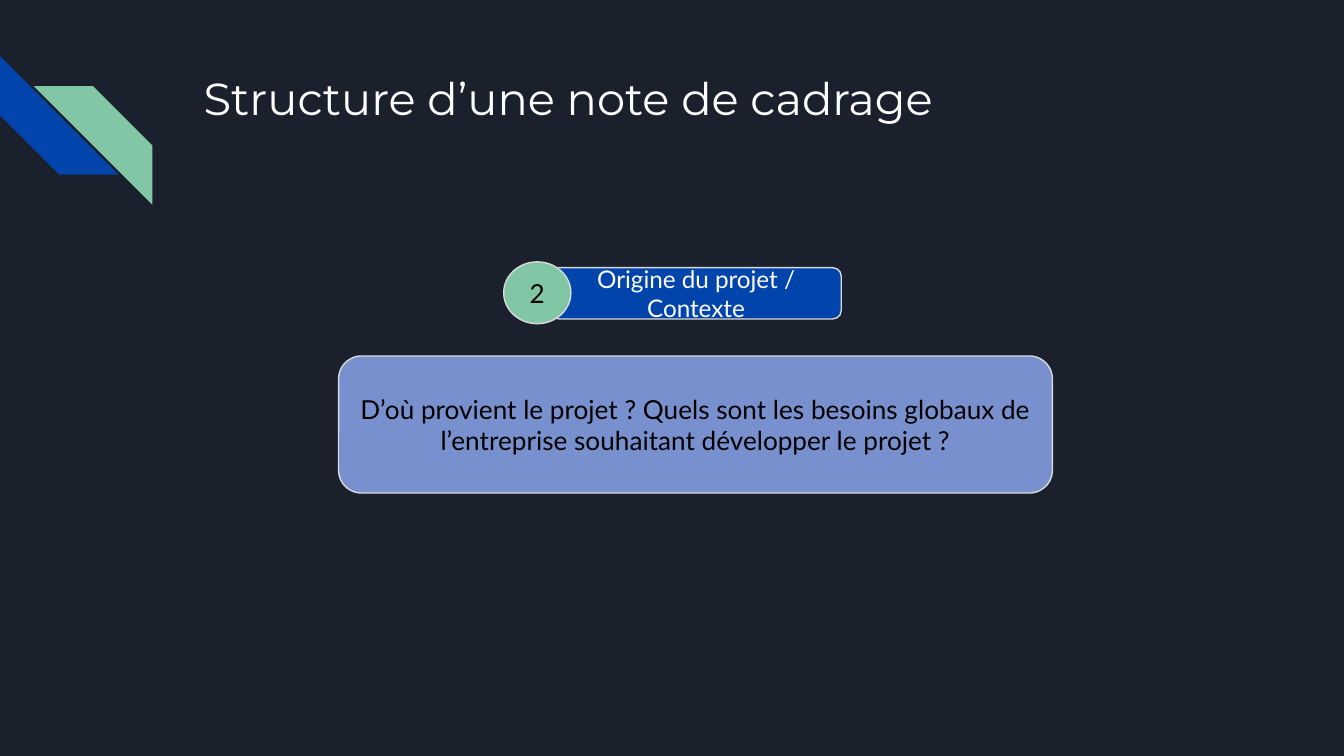
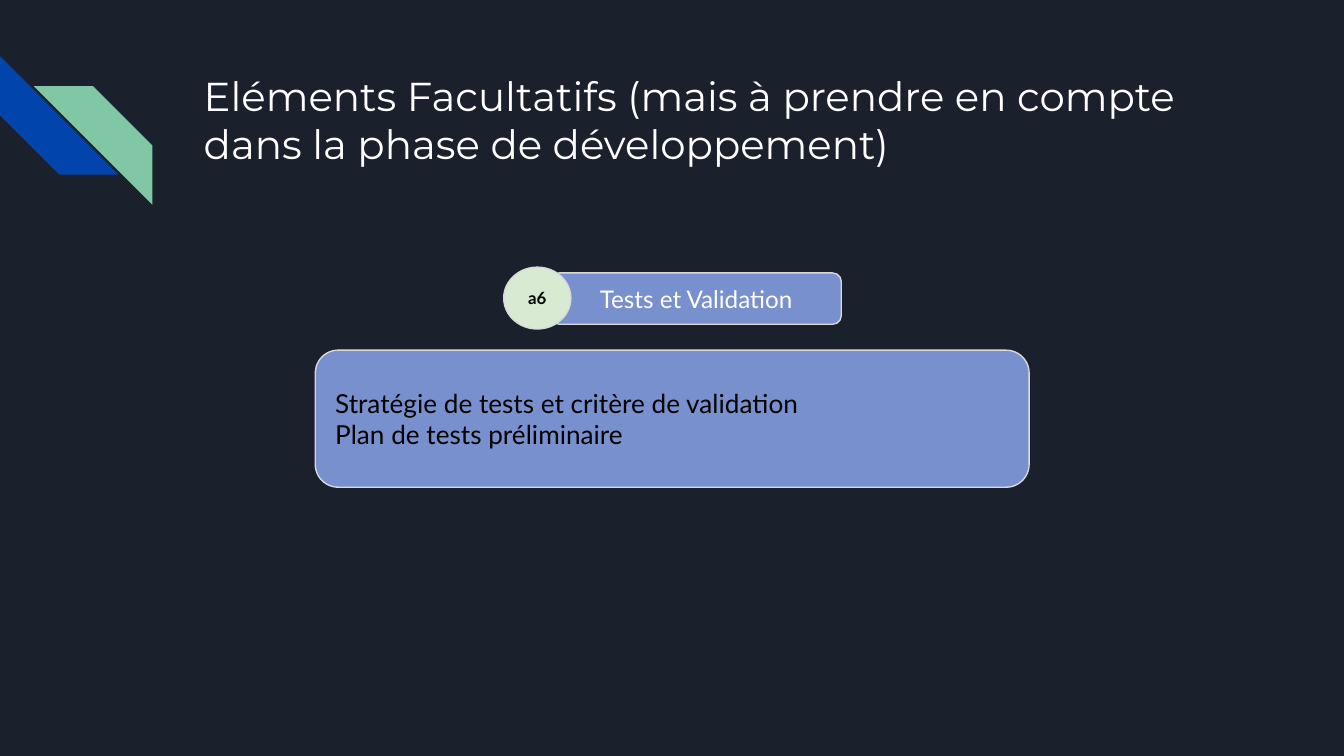
from pptx import Presentation
from pptx.dml.color import RGBColor
from pptx.enum import shapes, text
from pptx.util import Cm, Pt

NIGHT, BLUE, GREEN = "1B212C", "0145AC", "82C7A5"
PERIWINKLE, MINT, GREY = "7890CD", "D9EAD3", "D9D9D9"
WHITE, BLACK = "FFFFFF", "000000"
TITLE_FONT, BODY_FONT = "Montserrat", "Lato"
TITLE_ONLY = 5
LEFT, CENTER = text.PP_ALIGN.LEFT, text.PP_ALIGN.CENTER
TOP, MIDDLE = text.MSO_ANCHOR.TOP, text.MSO_ANCHOR.MIDDLE
KINDS = shapes.MSO_SHAPE


def rgb(value):
    return RGBColor.from_string(value)


def write(shape, lines, size, color, font=BODY_FONT, align=CENTER,
          anchor=MIDDLE, bold=False):
    frame = shape.text_frame
    frame.word_wrap = True
    frame.auto_size = text.MSO_AUTO_SIZE.NONE
    frame.vertical_anchor = anchor
    frame.margin_left = frame.margin_right = Cm(0.25)
    frame.margin_top = frame.margin_bottom = Cm(0.25)
    for index, line in enumerate(lines):
        para = frame.add_paragraph() if index else frame.paragraphs[0]
        para.alignment = align
        span = para.add_run()
        span.text = line
        span.font.name = font
        span.font.size = Pt(size)
        span.font.bold = bold
        span.font.color.rgb = rgb(color)


def add_box(page, kind, left, top, width, height, fill, outline=GREY):
    box = page.shapes.add_shape(kind, Cm(left), Cm(top), Cm(width), Cm(height))
    box.shadow.inherit = False
    box.fill.solid()
    box.fill.fore_color.rgb = rgb(fill)
    if outline:
        box.line.color.rgb = rgb(outline)
        box.line.width = Pt(0.75)
    else:
        box.line.fill.background()
    return box


# Corner stripes
def add_stripes(page, left, top, side=2.24):
    for dx, dy, color, turn in ((0, 0, BLUE, 270), (0.64, 0.57, GREEN, 90)):
        stripe = add_box(page, KINDS.DIAGONAL_STRIPE, left + dx, top + dy,
                         side, side, color, outline=None)
        stripe.rotation = turn


# Title
def set_title(page, title, size):
    box = page.shapes.title
    box.left, box.top, box.width, box.height = (
        Cm(3.6), Cm(1.09), Cm(19.56), Cm(2.54))
    write(box, [title], size, WHITE, TITLE_FONT, LEFT, TOP)


# Section label with its round badge
def add_label(page, left, top, label, fill, mark, mark_fill, mark_size, bold):
    tag = add_box(page, KINDS.ROUNDED_RECTANGLE, left + 0.89, top + 0.11,
                  5.49, 0.97, fill)
    write(tag, [label], 13, WHITE)
    badge = add_box(page, KINDS.OVAL, left, top, 1.27, 1.17, mark_fill)
    write(badge, [mark], mark_size, BLACK, bold=bold)


# Description panel
def add_panel(page, left, top, lines, align):
    panel = add_box(page, KINDS.ROUNDED_RECTANGLE, left, top, 13.49, 2.59,
                    PERIWINKLE)
    write(panel, lines, 14, BLACK, align=align)


def add_page(deck, title, title_size, label_top, label, panel):
    page = deck.slides.add_slide(deck.slide_layouts[TITLE_ONLY])
    add_stripes(page, 0, 1.06)
    set_title(page, title, title_size)
    add_label(page, 9.52, label_top, *label)
    add_panel(page, *panel)


def main():
    deck = Presentation()
    deck.slide_width, deck.slide_height = Cm(25.4), Cm(14.29)
    background = deck.slide_master.background.fill
    background.solid()
    background.fore_color.rgb = rgb(NIGHT)

    add_page(
        deck, "Structure d’une note de cadrage", 24, 4.95,
        ("Origine du projet / Contexte", BLUE, "2", GREEN, 14, False),
        (6.4, 6.73,
         ["D’où provient le projet ? Quels sont les besoins globaux de "
          "l’entreprise souhaitant développer le projet ?"], CENTER))
    add_page(
        deck, "Eléments Facultatifs (mais à prendre en compte dans la phase "
        "de développement)", 21.6, 5.05,
        ("Tests et Validation", PERIWINKLE, "a6", MINT, 9, True),
        (5.96, 6.62,
         ["Stratégie de tests et critère de validation",
          "Plan de tests préliminaire"], LEFT))
    deck.save("out.pptx")


if __name__ == "__main__":
    main()
